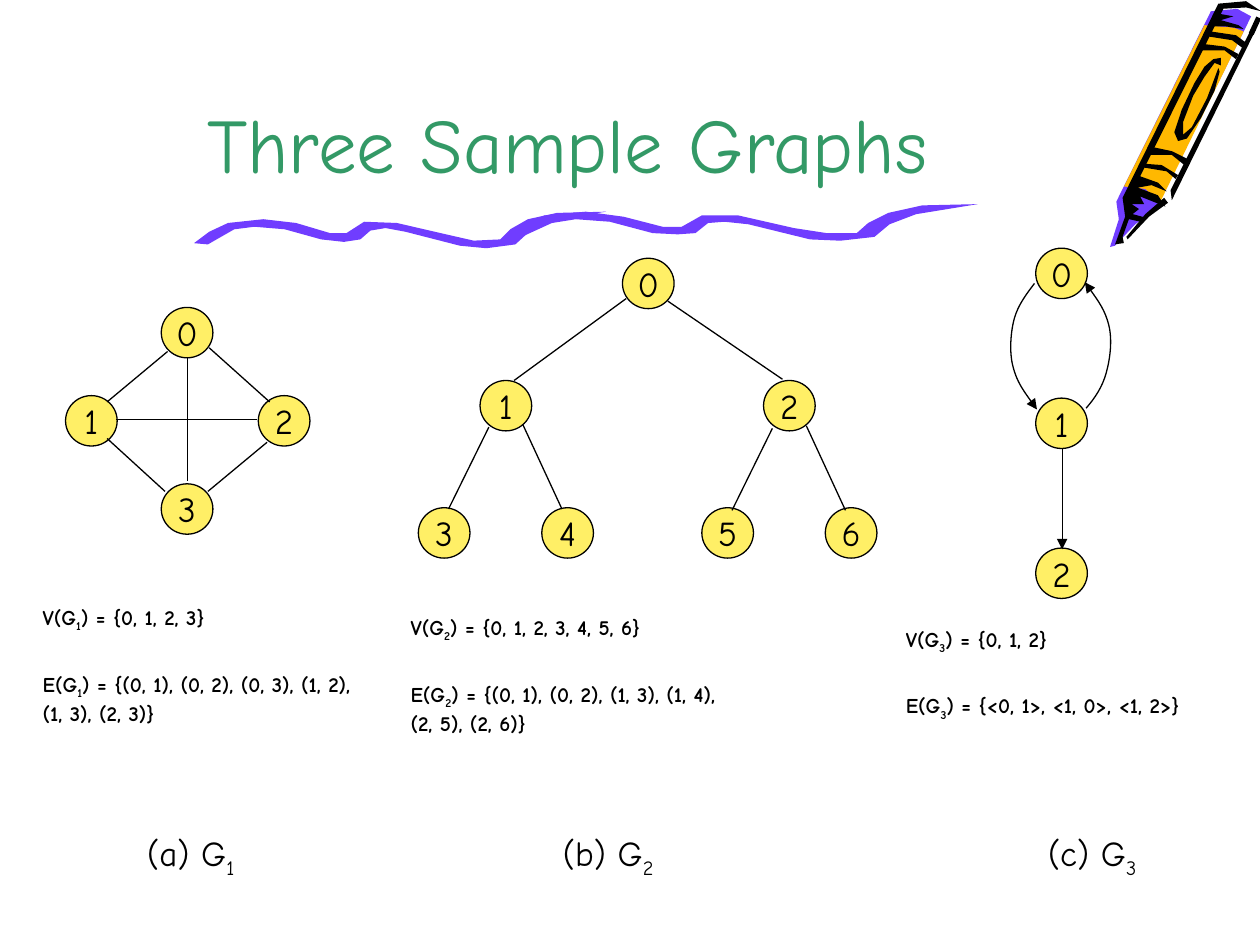
from lxml.etree import SubElement
from pptx import Presentation
from pptx.dml.color import RGBColor
from pptx.enum.shapes import MSO_CONNECTOR as Connector, MSO_SHAPE as Shape
from pptx.enum.text import MSO_ANCHOR as Anchor, MSO_AUTO_SIZE as AutoSize, PP_ALIGN as Align
from pptx.oxml.ns import qn
from pptx.util import Inches, Pt

BLACK, PURPLE, ORANGE = "000000", "703DFF", "FFB800"
YELLOW, GREEN = "FFEF66", "339966"

CRAYON = [
    (PURPLE, [(9.93, .13), (9.17, 1.66), (9.01, 1.78), (8.85, 1.95), (8.81, 1.96), (8.88, 1.74),
              (8.86, 1.6), (9.61, .09), (9.82, .07)]),
    (ORANGE, [(9.21, 1.6), (9.09, 1.5), (8.92, 1.48), (9.56, .2), (9.79, .22), (9.87, .25)]),
    (BLACK, [(9.27, 1.61), (9.12, 1.72), (8.95, 1.9), (8.94, 1.88), (9.09, 1.7), (9.24, 1.57)]),
    (BLACK, [(9.87, .23), (9.73, .21), (9.61, .21), (9.68, .11), (9.79, .13), (9.69, .16),
             (9.83, .2)]),
    (BLACK, [(9.68, .57), (9.64, .72), (9.53, .94), (9.42, 1.1), (9.35, 1.12), (9.32, 1.05),
             (9.38, .87), (9.48, .66), (9.56, .53), (9.63, .47), (9.69, .46), (9.69, .52),
             (9.64, .5), (9.56, .61), (9.47, .76), (9.39, .97), (9.39, 1.07), (9.46, 1.01),
             (9.58, .78), (9.67, .54)]),
    (BLACK, [(9.97, .23), (9.3, 1.59), (9.29, 1.51), (9.93, .23)]),
    (BLACK, [(9.25, 1.64), (9.19, 1.55), (9.03, 1.49), (9.14, 1.47), (9.26, 1.52), (9.19, 1.45),
             (9.05, 1.4), (9.71, .07), (9.89, .06), (10.01, .09), (9.89, .01), (9.67, .03),
             (8.91, 1.57), (8.93, 1.72), (8.85, 1.94), (8.92, 1.93), (8.91, 1.88), (8.96, 1.74),
             (9.05, 1.76), (9.1, 1.73), (8.99, 1.7), (9.04, 1.66), (8.98, 1.62), (9.08, 1.62),
             (9.05, 1.56)]),
    (BLACK, [(9.33, 1.42), (9.26, 1.36), (9.08, 1.33), (9.09, 1.3), (9.22, 1.31), (9.35, 1.39)]),
    (BLACK, [(9.4, 1.31), (9.3, 1.23), (9.13, 1.23), (9.16, 1.17), (9.3, 1.2), (9.42, 1.26)]),
    (BLACK, [(9.81, .47), (9.72, .4), (9.53, .4), (9.56, .35), (9.72, .37), (9.83, .43)]),
    (BLACK, [(9.86, .38), (9.78, .32), (9.59, .29), (9.61, .25), (9.81, .28), (9.89, .34)]),
]
WAVES = [
    [(1.65, 1.94), (1.86, 1.82), (2.02, 1.8), (2.26, 1.82), (2.55, 1.9), (2.73, 1.92),
     (2.86, 1.9), (2.94, 1.83), (3.06, 1.81), (3.22, 1.84), (3.65, 1.95), (3.86, 1.97),
     (4.09, 1.94), (4.2, 1.84), (4.38, 1.75), (4.81, 1.68), (4.42, 1.69), (4.19, 1.74),
     (4.05, 1.82), (3.97, 1.9), (3.76, 1.91), (3.54, 1.86), (3.15, 1.77), (2.89, 1.76),
     (2.75, 1.85), (2.62, 1.85), (2.35, 1.77), (2.09, 1.74), (1.81, 1.77), (1.66, 1.84),
     (1.54, 1.93)],
    [(4.14, 1.88), (4.38, 1.77), (4.57, 1.74), (4.84, 1.76), (5.18, 1.85), (5.38, 1.86),
     (5.52, 1.85), (5.62, 1.77), (5.75, 1.76), (5.94, 1.78), (6.43, 1.9), (6.67, 1.91),
     (6.94, 1.88), (7.06, 1.78), (7.27, 1.7), (7.76, 1.62), (7.32, 1.63), (7.05, 1.69),
     (6.89, 1.77), (6.8, 1.85), (6.56, 1.85), (6.3, 1.81), (5.86, 1.71), (5.57, 1.71),
     (5.41, 1.8), (5.26, 1.8), (4.95, 1.72), (4.65, 1.68), (4.32, 1.71), (4.15, 1.78),
     (4.01, 1.88)],
]
# Each arc is a start point followed by triples of Bézier points
ARCS = [
    [(8.21, 2.25), (8.15, 2.33), (8.08, 2.42), (8.05, 2.53), (8.02, 2.64), (8.01, 2.8),
     (8.04, 2.91), (8.07, 3.03), (8.15, 3.14), (8.23, 3.25)],
    [(8.62, 3.24), (8.69, 3.16), (8.75, 3.07), (8.78, 2.96), (8.81, 2.85), (8.83, 2.7),
     (8.8, 2.58), (8.77, 2.46), (8.69, 2.35), (8.61, 2.24)],
]
# Top left corners of the vertices, in order of their labels
VERTICES = [
    [(1.28, 2.44), (.52, 3.14), (2.05, 3.14), (1.28, 3.84)],
    [(4.94, 2.05), (3.81, 3.02), (6.06, 3.02), (3.32, 4.03), (4.3, 4.03), (5.57, 4.03),
     (6.55, 4.03)],
    [(8.22, 1.97 + 1.19 * step) for step in range(3)],
]
EDGES = [
    ((.92, 3.33), (2.04, 3.33)), ((1.49, 2.84), (1.49, 3.82)), ((2.12, 3.51), (1.65, 3.9)),
    ((1.33, 2.79), (.85, 3.19)), ((.85, 3.48), (1.31, 3.9)), ((1.66, 2.76), (2.14, 3.19)),
    ((4.97, 2.37), (4.08, 3.02)), ((5.3, 2.39), (6.21, 3.01)),
]
# Left and top of the sets, width of V, V, E, then letter and left of the caption
GRAPHS = [
    (.24, 4.75, 1.86, "{0, 1, 2, 3}", "{(0, 1), (0, 2), (0, 3), (1, 2), (1, 3), (2, 3)}",
     "a", 1.07),
    (3.16, 4.83, 2.69, "{0, 1, 2, 3, 4, 5, 6}",
     "{(0, 1), (0, 2), (1, 3), (1, 4), (2, 5), (2, 6)}", "b", 4.37),
    (7.09, 4.92, 2.69, "{0, 1, 2}", "{<0, 1>, <1, 0>, <1, 2>}", "c", 8.22),
]


def rgb(value):
    return RGBColor.from_string(value)


class GraphSlide:
    font_name = "Comic Neue"

    def __init__(self, slide):
        self.slide = slide
        self.shapes = slide.shapes

    def style_font(self, font, size, color=BLACK, bold=False):
        font.name, font.size, font.bold = self.font_name, Pt(size), bold
        font.color.rgb = rgb(color)

    def stroke(self, shape, width=.75, arrow=False):
        shape.line.color.rgb = rgb(BLACK)
        shape.line.width = Pt(width)
        if arrow:
            SubElement(shape.line._get_or_add_ln(), qn("a:tailEnd"), type="triangle")

    def title(self, text, left, top, width, height):
        title = self.shapes.title
        title.left, title.top = Inches(left), Inches(top)
        title.width, title.height = Inches(width), Inches(height)
        frame = title.text_frame
        frame.text = text
        frame.vertical_anchor, frame.auto_size = Anchor.BOTTOM, AutoSize.NONE
        frame.paragraphs[0].alignment = Align.CENTER
        self.style_font(frame.paragraphs[0].runs[0].font, 44, GREEN)

    def outline(self, points, close):
        start, *rest = [(Inches(x), Inches(y)) for x, y in points]
        builder = self.shapes.build_freeform(*start)
        builder.add_line_segments(rest, close=close)
        shape = builder.convert_to_shape()
        shape.shadow.inherit = False
        return shape

    def polygon(self, points, color):
        shape = self.outline(points, close=True)
        shape.fill.solid()
        shape.fill.fore_color.rgb = rgb(color)
        shape.line.fill.background()

    def arc(self, points):
        shape = self.outline(points, close=False)
        shape.fill.background()
        self.stroke(shape, arrow=True)
        path = next(shape._element.iter(qn("a:path")))
        segments = path.findall(qn("a:lnTo"))
        for first in range(0, len(segments), 3):
            curve = SubElement(path, qn("a:cubicBezTo"))
            for segment in segments[first:first + 3]:
                curve.append(segment[0])
                path.remove(segment)

    def edge(self, start, end, width=.75, arrow=False):
        line = self.shapes.add_connector(
            Connector.STRAIGHT, *[Inches(value) for value in (*start, *end)])
        self.stroke(line, width, arrow)
        SubElement(line._element.spPr, qn("a:effectLst"))

    def vertex(self, label, left, top):
        node = self.shapes.add_shape(
            Shape.OVAL, Inches(left), Inches(top), Inches(.41), Inches(.4))
        node.shadow.inherit = False
        node.fill.solid()
        node.fill.fore_color.rgb = rgb(YELLOW)
        self.stroke(node)
        frame = node.text_frame
        frame.text, frame.word_wrap = label, False
        frame.vertical_anchor = Anchor.MIDDLE
        frame.paragraphs[0].alignment = Align.CENTER
        self.style_font(frame.paragraphs[0].runs[0].font, 20)

    def formula(self, before, index, after, left, top, width, height, size=12, bold=True):
        """Add text with a subscript index in it."""
        box = self.shapes.add_textbox(Inches(left), Inches(top), Inches(width), Inches(height))
        box.text_frame.word_wrap = True
        for part in filter(None, (before, index, after)):
            run = box.text_frame.paragraphs[0].add_run()
            run.text = part
            self.style_font(run.font, size, bold=bold)
            if part is index:
                run._r.get_or_add_rPr().set("baseline", "-25000")


def main():
    deck = Presentation()
    deck.slide_width, deck.slide_height = Inches(10), Inches(7.5)
    page = GraphSlide(deck.slides.add_slide(deck.slide_layouts[5]))

    for color, points in CRAYON:
        page.polygon(points, color)
    page.edge((9.99, .14), (9.93, .27), width=3)
    for wave in WAVES:
        page.polygon(wave, PURPLE)
    page.title("Three Sample Graphs", .75, 0, 7.51, 1.55)

    for vertices in VERTICES:
        for label, corner in enumerate(vertices):
            page.vertex(str(label), *corner)
    for start, end in EDGES:
        page.edge(start, end)
    for parent, top in ((4.01, 3.39), (6.26, 3.4)):
        page.edge((parent - .13, top), (parent - .45, top + .65))
        page.edge((parent + .14, top - .02), (parent + .45, top + .65))
    for arc in ARCS:
        page.arc(arc)
    page.edge((8.43, 3.56), (8.43, 4.36), arrow=True)

    for number, (left, top, width, v_set, e_set, letter, caption_left) in enumerate(GRAPHS, 1):
        index = str(number)
        e_height = .33 if number == 3 else .53
        page.formula("V(G", index, f") = {v_set}", left, top, width, .33)
        page.formula("E(G", index, f") = {e_set}", left, top + .53, 2.69, e_height)
        page.formula(f"({letter}) G", index, "", caption_left, 6.55, 1.03, .48, 20, False)

    deck.save("out.pptx")


if __name__ == "__main__":
    main()
